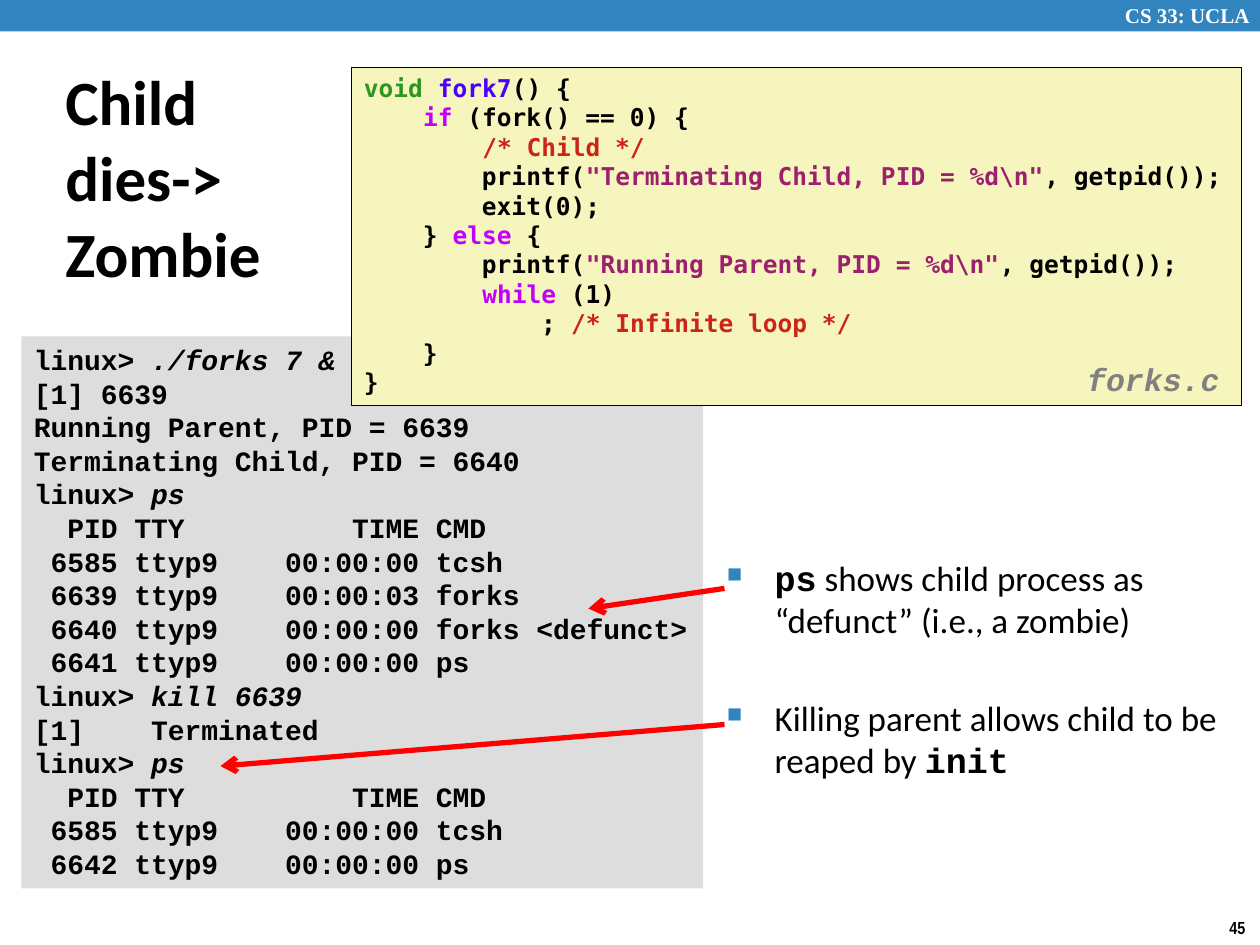
from dataclasses import dataclass

from lxml import etree
from pptx import Presentation
from pptx.dml.color import RGBColor
from pptx.enum.shapes import MSO_CONNECTOR, MSO_SHAPE
from pptx.enum.text import MSO_ANCHOR
from pptx.oxml.ns import qn
from pptx.util import Inches, Pt

RECTANGLE = MSO_SHAPE.RECTANGLE
STRAIGHT = MSO_CONNECTOR.STRAIGHT
TOP, MIDDLE = MSO_ANCHOR.TOP, MSO_ANCHOR.MIDDLE

BLUE, RED, BLACK, WHITE = "3284BF", "FF0000", "000000", "FFFFFF"
TYPE, NAME, KEYWORD = "2D961E", "4A00FF", "C200FF"
COMMENT, STRING = "CB2418", "9D206F"
LINE_BREAK = "\n"


@dataclass
class Style:
    font: str
    size: int
    color: str = BLACK
    bold: bool = True
    italic: bool = False


@dataclass
class Box:
    left: float
    top: float
    width: float
    height: float


@dataclass
class Span:
    """A stretch of text that differs from its paragraph."""
    text: str
    color: str | None = None
    italic: bool | None = None
    bold: bool | None = None
    font: str | None = None


@dataclass
class Arrow:
    start: tuple[float, float]
    end: tuple[float, float]


Line = list[str | Span]

CONSOLE = Style("Courier New", 16)
CODE = Style("DejaVu Sans Mono", 14)
BODY = Style("Calibri", 20, bold=False)


def typed(command: str) -> Span:
    return Span(command, italic=True)


def mono(text: str) -> Span:
    return Span(text, bold=True, font="Courier New")


CONSOLE_LINES: list[Line] = [
    ["linux> ", typed("./forks 7 &")],
    ["[1] 6639"],
    ["Running Parent, PID = 6639"],
    ["Terminating Child, PID = 6640"],
    ["linux> ", typed("ps")],
    ["  PID TTY          TIME CMD"],
    [" 6585 ttyp9    00:00:00 tcsh"],
    [" 6639 ttyp9    00:00:03 forks"],
    [" 6640 ttyp9    00:00:00 forks <defunct>"],
    [" 6641 ttyp9    00:00:00 ps"],
    ["linux>", typed(" kill 6639")],
    ["[1]    Terminated"],
    ["linux> ", typed("ps")],
    ["  PID TTY          TIME CMD"],
    [" 6585 ttyp9    00:00:00 tcsh"],
    [" 6642 ttyp9    00:00:00 ps"],
]
CODE_LINES: list[Line] = [
    [Span("void ", TYPE), Span("fork7", NAME), "() {"],
    ["    ", Span("if", KEYWORD), " (fork() == 0) {"],
    ["        ", Span("/* Child */", COMMENT)],
    ["        printf(", Span('"Terminating Child, PID = %d\\n"', STRING), ", getpid());"],
    ["        exit(0);"],
    ["    } ", Span("else", KEYWORD), " {"],
    ["        printf(", Span('"Running Parent, PID = %d\\n"', STRING), ", getpid());"],
    ["        ", Span("while", KEYWORD), " (1)"],
    ["            ; ", Span("/* Infinite loop */", COMMENT)],
    ["    }"],
    ["}"],
]
BULLETS: list[Line] = [
    [mono("ps"), " shows child process as “defunct” (i.e., a zombie)"],
    ["Killing parent allows child to be reaped by ", mono("init")],
]
ARROWS = [
    Arrow((5.75, 4.67), (4.67, 4.83)),
    Arrow((5.75, 5.75), (1.75, 6.08)),
]


def rgb(color: str) -> RGBColor:
    return RGBColor.from_string(color)


def inches(box: Box) -> list[Inches]:
    return [Inches(value) for value in (box.left, box.top, box.width, box.height)]


def add_bullet(paragraph) -> None:
    properties = paragraph._p.get_or_add_pPr()
    properties.set("marL", str(Inches(0.38)))
    properties.set("indent", str(Inches(-0.38)))
    color = etree.SubElement(properties, qn("a:buClr"))
    etree.SubElement(color, qn("a:srgbClr"), val=BLUE)
    etree.SubElement(properties, qn("a:buSzPct"), val="60000")
    etree.SubElement(properties, qn("a:buChar"), char="■")


def add_span(paragraph, span: Span) -> None:
    run = paragraph.add_run()
    run.text = span.text
    run.font.name, run.font.bold, run.font.italic = span.font, span.bold, span.italic
    if span.color:
        run.font.color.rgb = rgb(span.color)


def write_lines(frame, lines: list[Line], style: Style, wrap: bool = False,
                anchor=TOP, bulleted: bool = False) -> None:
    frame.word_wrap = wrap
    frame.vertical_anchor = anchor
    for index, line in enumerate(lines):
        paragraph = frame.paragraphs[0] if index == 0 else frame.add_paragraph()
        if bulleted:
            paragraph.space_before = Pt(32 if index else 0)
            add_bullet(paragraph)
        font = paragraph.font
        font.name, font.size = style.font, Pt(style.size)
        font.bold, font.italic = style.bold, style.italic
        font.color.rgb = rgb(style.color)
        for part in line:
            if part == LINE_BREAK:
                paragraph.add_line_break()
            else:
                add_span(paragraph, Span(part) if isinstance(part, str) else part)


def add_text(slide, box: Box, lines: list[Line], style: Style, **layout) -> None:
    write_lines(slide.shapes.add_textbox(*inches(box)).text_frame, lines, style, **layout)


def add_panel(slide, box: Box, fill: str, outline: str | None = None) -> None:
    shape = slide.shapes.add_shape(RECTANGLE, *inches(box))
    shape.shadow.inherit = False
    shape.fill.solid()
    shape.fill.fore_color.rgb = rgb(fill)
    if outline:
        shape.line.color.rgb = rgb(outline)
        shape.line.width = Pt(0.25)
    else:
        shape.line.fill.background()


def add_listing(slide, box: Box, fill: str, lines: list[Line], style: Style,
                outline: str | None = None) -> None:
    """Draw a filled panel with left-aligned monospaced lines."""
    add_panel(slide, box, fill, outline)
    add_text(slide, box, lines, style)


def add_arrow(slide, arrow: Arrow) -> None:
    points = [Inches(value) for value in (*arrow.start, *arrow.end)]
    connector = slide.shapes.add_connector(STRAIGHT, *points)
    connector.line.color.rgb = rgb(RED)
    connector.line.width = Pt(3)
    etree.SubElement(connector.line._get_or_add_ln(), qn("a:tailEnd"), type="arrow")
    etree.SubElement(connector._element.spPr, qn("a:effectLst"))


def main() -> None:
    presentation = Presentation()
    presentation.slide_width, presentation.slide_height = Inches(10), Inches(7.5)
    slide = presentation.slides.add_slide(presentation.slide_layouts[6])

    add_panel(slide, Box(0, 0, 10, 0.25), BLUE)
    add_text(slide, Box(8.83, -0.03, 1.24, 0.3), [["CS 33: UCLA"]],
             Style("Times New Roman", 12, WHITE))
    add_text(slide, Box(9.66, 7.23, 0.34, 0.27), [["45"]], Style("Arial Narrow", 10))
    add_listing(slide, Box(0.17, 2.67, 5.41, 4.38), "DDDDDD", CONSOLE_LINES, CONSOLE)
    add_text(slide, Box(0.42, 0.55, 2.19, 1.7), [["Child dies->", LINE_BREAK, "Zombie"]],
             Style("Calibri", 36), wrap=True, anchor=MIDDLE)
    add_text(slide, Box(5.67, 4.37, 4.33, 2.88), BULLETS, BODY, wrap=True, bulleted=True)
    add_listing(slide, Box(2.79, 0.53, 7.06, 2.69), "F6F5BD", CODE_LINES, CODE, BLACK)
    add_text(slide, Box(8.53, 2.81, 1.32, 0.39), [["forks.c"]],
             Style("Courier New", 18, "808080", italic=True))
    for arrow in ARROWS:
        add_arrow(slide, arrow)

    presentation.save("out.pptx")


if __name__ == "__main__":
    main()
